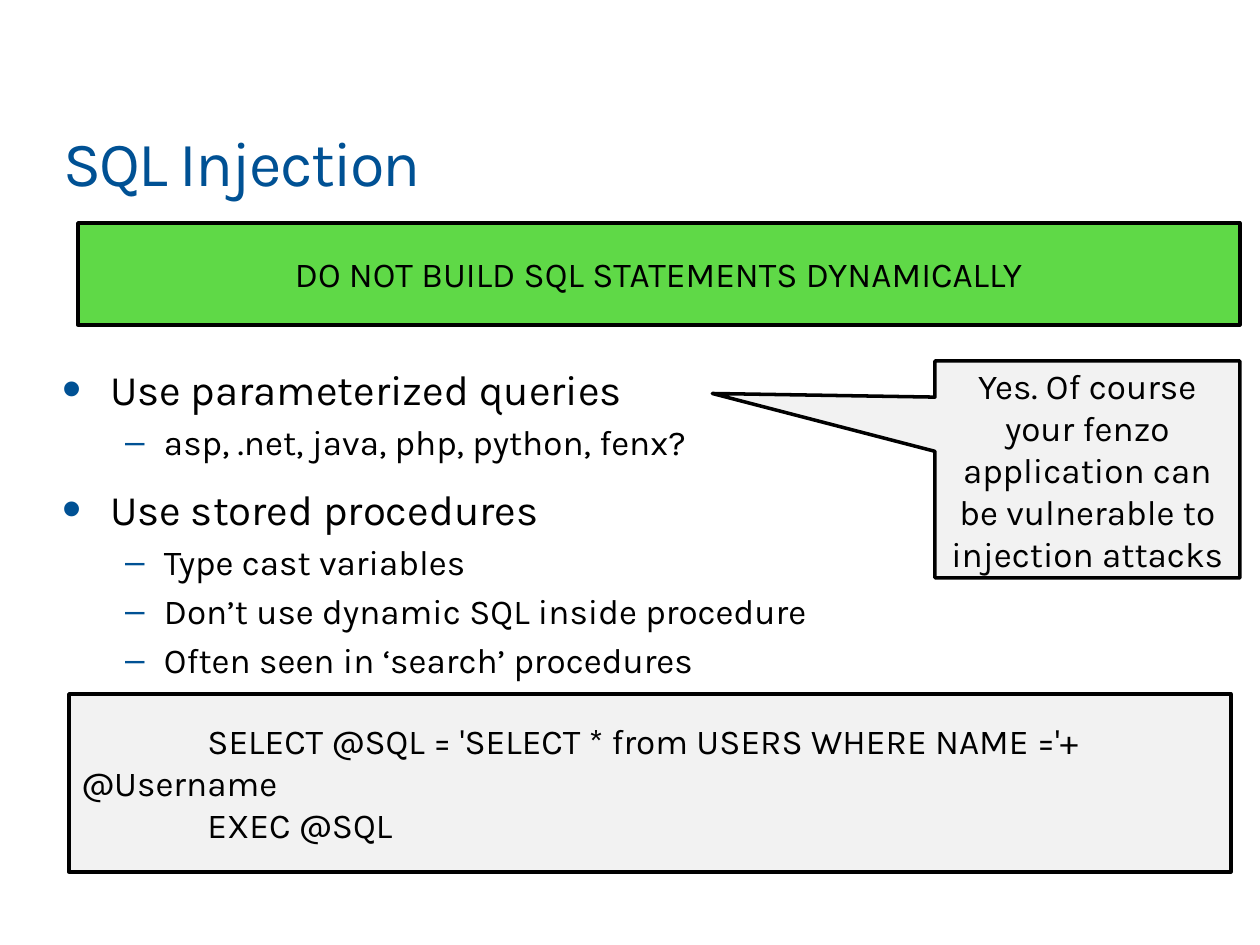
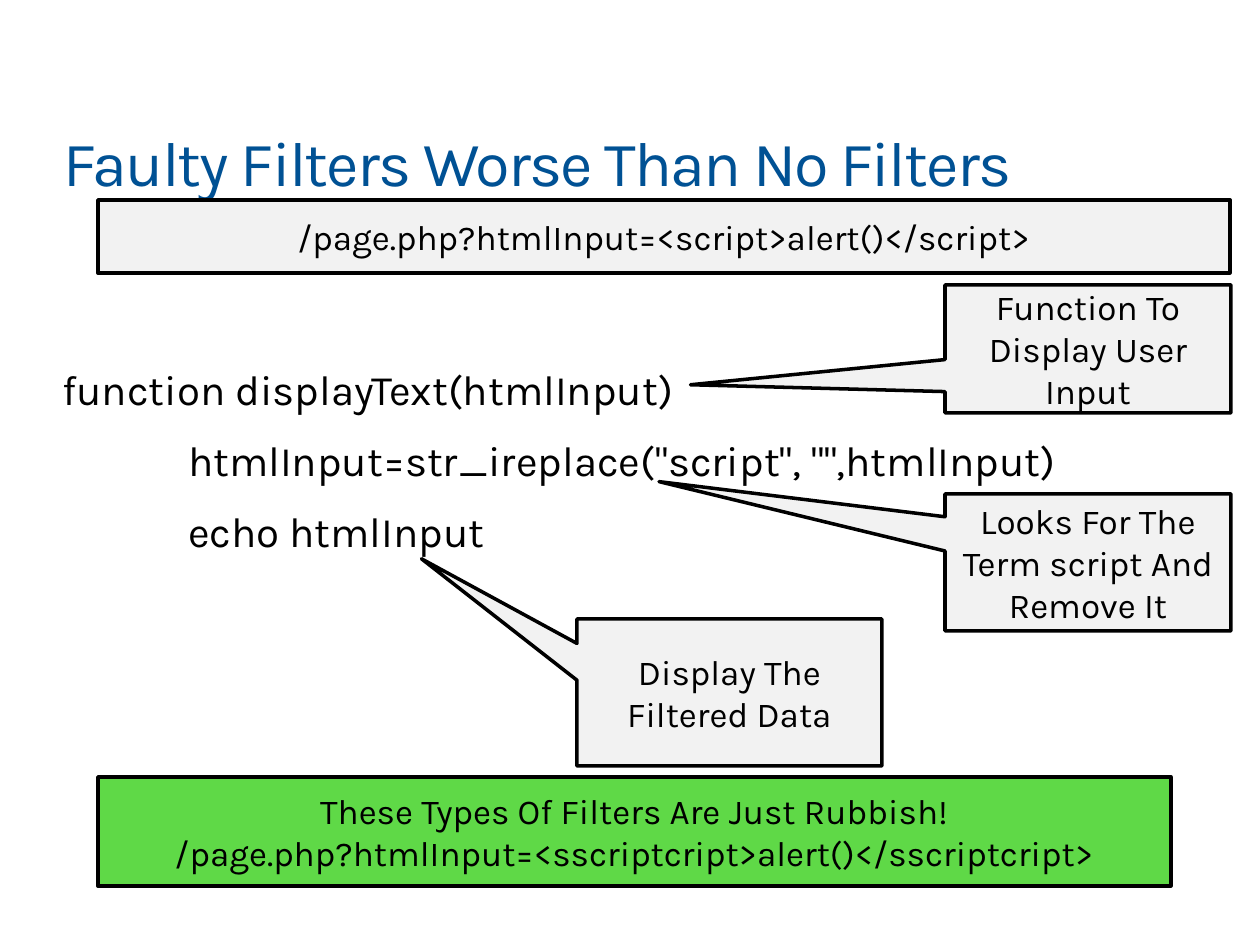
from dataclasses import dataclass

import pptx
import pptx.dml.color
import pptx.enum.shapes
import pptx.enum.text
import pptx.oxml.ns
import pptx.util
from lxml import etree

EMU_PER_PX = 914400 / 126
FONT = "Karla"
BLUE, BLACK, GREEN, GRAY = "005194", "000000", "5FD947", "F2F2F2"
TITLE_SIZE, HEAD_SIZE, TEXT_SIZE = 36, 24, 20
TITLE_BOX = (63, 123, 1134, 77)
BODY_TOP_INSET = 143
TAB = 126
RECT = pptx.enum.shapes.MSO_SHAPE.RECTANGLE
CALLOUT = pptx.enum.shapes.MSO_SHAPE.RECTANGULAR_CALLOUT
LEFT = pptx.enum.text.PP_ALIGN.LEFT
CENTER = pptx.enum.text.PP_ALIGN.CENTER
TOP = pptx.enum.text.MSO_ANCHOR.TOP
MIDDLE = pptx.enum.text.MSO_ANCHOR.MIDDLE


@dataclass(frozen=True)
class Line:
    text: str
    size: int = HEAD_SIZE
    before: int = 12
    margin: int = 0
    indent: int = 0
    bullet: str = ""
    bullet_pct: int = 100


@dataclass(frozen=True)
class Box:
    left: int
    top: int
    width: int
    height: int
    lines: tuple[str, ...]
    fill: str = GRAY
    align: pptx.enum.text.PP_ALIGN = CENTER
    indents: tuple[int, ...] = ()
    tip: tuple[float, float] | None = None


@dataclass(frozen=True)
class Page:
    title: str
    body_height: int
    lines: tuple[Line, ...]
    boxes: tuple[Box, ...]


def px(n: int) -> pptx.util.Emu:
    return pptx.util.Emu(round(n * EMU_PER_PX))


def rgb(color: str) -> pptx.dml.color.RGBColor:
    return pptx.dml.color.RGBColor.from_string(color)


def point(text: str) -> Line:
    return Line(text, margin=48, indent=-48, bullet="•", bullet_pct=130)


def subpoint(text: str) -> Line:
    return Line(text, TEXT_SIZE, 4, 102, -39, "–")


def write(p, text: str, *, size: int = TEXT_SIZE, color: str = BLACK,
          align=LEFT, before: int = 0, spacing: int = 0) -> None:
    p.alignment = align
    p.space_before = pptx.util.Pt(before)
    r = p.add_run()
    r.text = text
    r.font.name = FONT
    r.font.size = pptx.util.Pt(size)
    r.font.color.rgb = rgb(color)
    if spacing:
        r._r.get_or_add_rPr().set("spc", str(spacing))


def set_indent(p, margin: int, indent: int) -> None:
    pPr = p._p.get_or_add_pPr()
    pPr.set("marL", str(px(margin)))
    pPr.set("indent", str(px(indent)))


def set_bullet(p, line: Line) -> None:
    qn = pptx.oxml.ns.qn
    pPr = p._p.get_or_add_pPr()
    if not line.bullet:
        etree.SubElement(pPr, qn("a:buNone"))
        return
    clr = etree.SubElement(pPr, qn("a:buClr"))
    etree.SubElement(clr, qn("a:srgbClr"), val=BLUE)
    etree.SubElement(pPr, qn("a:buSzPct"), val=str(line.bullet_pct * 1000))
    etree.SubElement(pPr, qn("a:buChar"), char=line.bullet)


def place(sp, left: int, top: int, width: int, height: int, inset_top: int = 0):
    sp.left, sp.top, sp.width, sp.height = map(px, (left, top, width, height))
    tf = sp.text_frame
    tf.margin_left = tf.margin_right = tf.margin_bottom = 0
    tf.margin_top = px(inset_top)
    tf.word_wrap = True
    tf.auto_size = pptx.enum.text.MSO_AUTO_SIZE.NONE
    tf.vertical_anchor = TOP
    return tf


def paragraph(tf, i: int):
    return tf.paragraphs[0] if i == 0 else tf.add_paragraph()


def add_box(s, box: Box) -> None:
    sp = s.shapes.add_shape(CALLOUT if box.tip else RECT,
                            *map(px, (box.left, box.top, box.width, box.height)))
    if box.tip:
        sp.adjustments[0], sp.adjustments[1] = box.tip
    sp.shadow.inherit = False
    sp.fill.solid()
    sp.fill.fore_color.rgb = rgb(box.fill)
    sp.line.color.rgb = rgb(BLACK)
    sp.line.width = pptx.util.Pt(2)
    tf = sp.text_frame
    tf.word_wrap = True
    tf.vertical_anchor = MIDDLE
    for i, text in enumerate(box.lines):
        p = paragraph(tf, i)
        write(p, text, align=box.align)
        if box.indents:
            set_indent(p, 0, box.indents[i])


def add_page(prs, page: Page) -> None:
    s = prs.slides.add_slide(prs.slide_layouts[1])
    tf = place(s.shapes.title, *TITLE_BOX)
    write(tf.paragraphs[0], page.title, size=TITLE_SIZE, color=BLUE, spacing=-100)
    tf = place(s.placeholders[1], 62, 220, 1134, page.body_height, BODY_TOP_INSET)
    for i, line in enumerate(page.lines):
        p = paragraph(tf, i)
        p.level = 1 if line.size == TEXT_SIZE else 0
        write(p, line.text, size=line.size, before=line.before)
        set_indent(p, line.margin, line.indent)
        set_bullet(p, line)
    for box in page.boxes:
        add_box(s, box)


PAGES = (
    Page(
        "SQL Injection", 586,
        (
            point("Use parameterized queries"),
            subpoint("asp, .net, java, php, python, fenx?"),
            point("Use stored procedures"),
            subpoint("Type cast variables"),
            subpoint("Don’t use dynamic SQL inside procedure"),
            subpoint("Often seen in ‘search’ procedures"),
        ),
        (
            Box(935, 361, 305, 217,
                ("Yes. Of course your fenzo application can be vulnerable to injection attacks",),
                tip=(-1.23, -0.35)),
            Box(78, 223, 1162, 102, ("DO NOT BUILD SQL STATEMENTS DYNAMICALLY",), GREEN),
            Box(69, 694, 1162, 178,
                ("SELECT @SQL = 'SELECT * from USERS WHERE NAME ='+ @Username", "EXEC @SQL"),
                align=LEFT, indents=(TAB, TAB)),
        ),
    ),
    Page(
        "Faulty Filters Worse Than No Filters", 484,
        (
            Line("function displayText(htmlInput)"),
            Line('htmlInput=str_ireplace("script", "",htmlInput)', indent=TAB),
            Line("echo htmlInput", indent=TAB),
        ),
        (
            Box(945, 285, 286, 128, ("Function To Display User Input",), tip=(-1.39, 0.28)),
            Box(945, 494, 286, 137, ("Looks For The Term script And Remove It",),
                tip=(-1.5, -0.59)),
            Box(577, 619, 305, 147, ("Display The Filtered Data",), tip=(-1.01, -0.91)),
            Box(98, 777, 1073, 109,
                ("These Types Of Filters Are Just Rubbish!",
                 "/page.php?htmlInput=<sscriptcript>alert()</sscriptcript>"), GREEN),
            Box(98, 200, 1132, 73, ("/page.php?htmlInput=<script>alert()</script>",)),
        ),
    ),
)


def main() -> None:
    prs = pptx.Presentation()
    prs.slide_width, prs.slide_height = px(1260), px(945)
    for page in PAGES:
        add_page(prs, page)
    prs.save("out.pptx")


if __name__ == "__main__":
    main()
